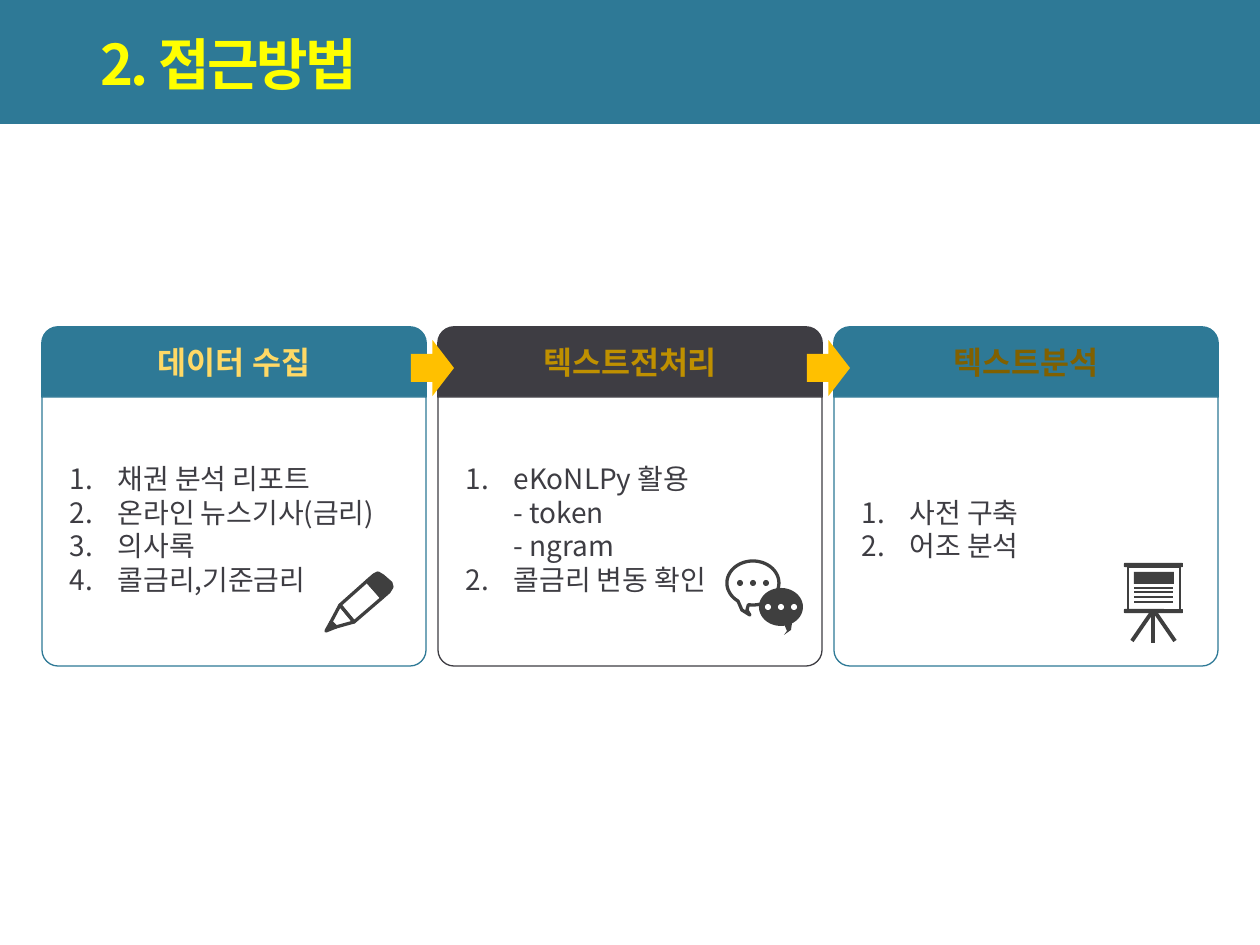
from math import cos, sin, radians

from lxml.etree import SubElement as Sub
from pptx import Presentation
from pptx.dml.color import RGBColor
from pptx.enum.shapes import MSO_CONNECTOR as Link, MSO_SHAPE as Kind
from pptx.enum.text import MSO_ANCHOR as Anchor, PP_ALIGN as Align
from pptx.oxml.ns import qn
from pptx.util import Emu, Pt

SCALE = 914400 / 126
FONT = "Noto Sans CJK KR"
TEAL, DARK, ICON, WHITE = "2E7996", "3E3D43", "3F3F3F", "FFFFFF"
LEFT, STEP, WIDE = 42, 396, 384
TOP, HEAD, BODY, CURVE = 327, 70, 269, 16
CARDS = [
    ("데이터 수집", TEAL, "FFD966",
     [["채권 분석 리포트"], ["온라인 뉴스기사", "(금리)"], ["의사록"],
      ["콜금리", ",", "기준금리"]]),
    ("텍스트전처리", DARK, "BF9000",
     [["eKoNLPy ", "활용", "\n", "- token", "\n", "- ngram"],
      ["콜금리 변동 확인"]]),
    ("텍스트분석", TEAL, "806000", [["사전 구축"], ["어조 분석"]]),
]


def px(num):
    return Emu(round(num * SCALE))


def rgb(code):
    return RGBColor.from_string(code)


def paint(shape, fill=None, line=None, width=1):
    shape.shadow.inherit = False
    if fill:
        shape.fill.solid()
        shape.fill.fore_color.rgb = rgb(fill)
    else:
        shape.fill.background()
    if line:
        shape.line.color.rgb = rgb(line)
        shape.line.width = Pt(width)
    else:
        shape.line.fill.background()
    return shape


def block(shapes, kind, box, fill=None, line=None, width=1):
    shape = shapes.add_shape(kind, *map(px, box))
    return paint(shape, fill, line, width)


def shard(shapes, dots, fill=None, line=None, width=1.88):
    dots = [(px(x), px(y)) for x, y in dots]
    form = shapes.build_freeform(*dots[0])
    form.add_line_segments(dots[1:], close=True)
    return paint(form.convert_to_shape(), fill, line, width)


def stroke(shapes, start, end, width):
    line = shapes.add_connector(Link.STRAIGHT, *map(px, start + end))
    line.line.color.rgb = rgb(ICON)
    line.line.width = Pt(width)
    Sub(line._element.spPr, qn("a:effectLst"))


def frame(shape, inset, wrap=True):
    text = shape.text_frame
    text.word_wrap = wrap
    text.vertical_anchor = Anchor.MIDDLE
    text.margin_left, text.margin_top, text.margin_right, text.margin_bottom = map(px, inset)
    return text


def add_run(para, words, size, color, bold=False):
    run = para.add_run()
    run.text = words
    font = run.font
    font.size, font.bold, font.name = Pt(size), bold, FONT
    font.color.rgb = rgb(color)
    Sub(run._r.get_or_add_rPr(), qn("a:ea"), typeface=FONT)
    return run


def number(para):
    props = para._p.get_or_add_pPr()
    props.set("marL", str(px(48)))
    props.set("indent", str(-px(48)))
    Sub(props, qn("a:buFont"), typeface=FONT)
    Sub(props, qn("a:buAutoNum"), type="arabicPeriod")


def title(shapes):
    block(shapes, Kind.RECTANGLE, (0, 0, 1260, 124), TEAL)
    box = shapes.add_textbox(*map(px, (87, 28, 1142, 79)))
    para = frame(box, (13, 6, 13, 6)).paragraphs[0]
    para.line_spacing = 0.9
    for words in ("2. ", "접근방법"):
        run = add_run(para, words, 32, "FFFF00", True)
        run._r.get_or_add_rPr().set("spc", "-150")


def card(shapes, left, name, color, ink, items):
    head = block(shapes, Kind.ROUND_2_SAME_RECTANGLE, (left, TOP, WIDE, HEAD), color, color)
    head.adjustments[0] = CURVE / HEAD
    para = frame(head, (13, 1, 13, 6), False).paragraphs[0]
    para.alignment = Align.CENTER
    add_run(para, name, 18, ink, True)

    body = block(shapes, Kind.ROUND_2_SAME_RECTANGLE,
                 (left, TOP + HEAD, WIDE, BODY), WHITE, color, 0.75)
    body.adjustments[0] = 0
    body.adjustments[1] = CURVE / BODY
    text = frame(body, (23, 0, 23, 1))
    for spot, runs in enumerate(items):
        para = text.add_paragraph() if spot else text.paragraphs[0]
        para.alignment = Align.LEFT
        number(para)
        for words in runs:
            if words == "\n":
                para.add_line_break()
            else:
                add_run(para, words, 16, DARK)


def pencil(shapes):
    parts = shapes.add_group_shape().shapes
    shard(parts, [(382, 598), (389, 592), (392, 587), (391, 583), (383, 576),
                  (378, 573), (374, 575), (367, 581)], ICON, ICON)
    shard(parts, [(340, 605), (367, 581), (382, 598), (354, 622)], None, ICON)
    shard(parts, [(340, 605), (354, 622), (336, 627), (331, 622)], None, ICON)
    shard(parts, [(331, 622), (336, 627), (326, 631)], ICON, ICON)


def bubble(shapes, mid, size, start, sweep, tail, fill, line, ink, gap):
    arc = [(mid[0] + size[0] * cos(radians(turn)), mid[1] + size[1] * sin(radians(turn)))
           for turn in range(start, start + sweep + 1, 5)]
    shard(shapes, arc + tail, fill, line)
    for side in (-1, 0, 1):
        block(shapes, Kind.OVAL, (mid[0] + side * gap - 3, mid[1] - 3, 6, 6), ink)


def chat(shapes):
    parts = shapes.add_group_shape().shapes
    bubble(parts, (753, 583), (26, 22), 125, 335,
           [(747, 610), (750, 615), (742, 610)], None, ICON, ICON, 13)
    bubble(parts, (781, 607), (22, 19), 80, 340,
           [(791, 630), (784, 635), (787, 631)], ICON, None, WHITE, 13)


def easel(shapes):
    parts = shapes.add_group_shape().shapes
    for top in (563, 609):
        block(parts, Kind.ROUNDED_RECTANGLE, (1124, top, 59, 4), ICON)
    block(parts, Kind.RECTANGLE, (1128, 567, 52, 43), None, ICON, 1.25)
    block(parts, Kind.RECTANGLE, (1134, 572, 40, 12), ICON)
    for row in (588, 592, 597, 602):
        stroke(parts, (1134, row), (1173, row), 1.25)
    for start, end in (((1153, 612), (1153, 643)), ((1152, 612), (1132, 641)),
                       ((1155, 612), (1175, 641))):
        stroke(parts, start, end, 2.25)


def main():
    deck = Presentation()
    deck.slide_width, deck.slide_height = px(1260), px(945)
    shapes = deck.slides.add_slide(deck.slide_layouts[6]).shapes
    title(shapes)
    for spot, (data, icon) in enumerate(zip(CARDS, (pencil, chat, easel))):
        card(shapes, LEFT + spot * STEP, *data)
        icon(shapes)
    for spot in range(len(CARDS) - 1):
        block(shapes, Kind.RIGHT_ARROW, (411 + spot * STEP, 340, 43, 56), "FFC000")
    deck.save("out.pptx")


if __name__ == "__main__":
    main()
